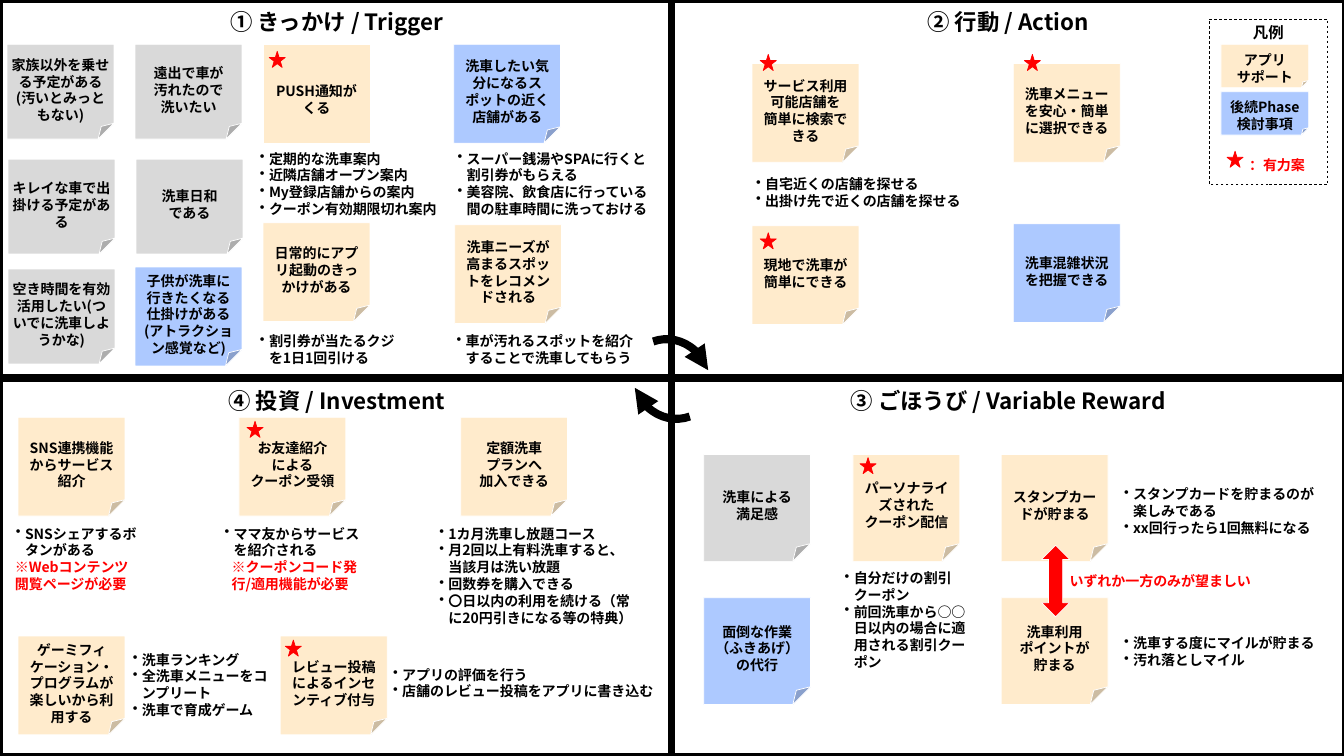
from dataclasses import dataclass
from typing import Optional

from lxml.etree import SubElement
from pptx import Presentation
from pptx.dml.color import RGBColor
from pptx.enum.dml import MSO_LINE
from pptx.enum.shapes import MSO_SHAPE as Preset
from pptx.enum.text import MSO_ANCHOR as Anchor, PP_ALIGN as Align
from pptx.oxml.ns import qn
from pptx.util import Cm, Length, Pt

FONT = "Noto Sans CJK JP"
COLORS = {"black": "000000", "white": "FFFFFF", "red": "FF0000",
          "current": "D9D9D9", "app": "FFEBCC", "later": "ADC9FF"}
NOTE_W, STAR = 1.06, 0.16


@dataclass
class Note:
    left: float
    top: float
    kind: str
    text: str
    height: float = 0.98
    width: float = NOTE_W
    preset: Preset = Preset.FOLDED_CORNER


@dataclass
class Label:
    left: float
    top: float
    width: float
    height: float
    text: str
    bullet: bool = True
    ink: str = "black"


# Positions below are in inches; panels are listed by row
PANELS = [["① きっかけ / Trigger", "② 行動 / Action"],
          ["④ 投資 / Investment", "③ ごほうび / Variable Reward"]]
NOTES = [
    # Trigger
    Note(0.07, 0.44, "current", "家族以外を乗せる予定がある(汚いとみっともない)", 0.94),
    Note(0.08, 1.58, "current", "キレイな車で出掛ける予定がある", 0.94),
    Note(0.08, 2.67, "current", "空き時間を有効活用したい(ついでに洗車しようかな)", 0.94),
    Note(1.34, 0.44, "current", "遠出で車が\n汚れたので\n洗いたい", 0.94),
    Note(1.35, 1.58, "current", "洗車日和\nである", 0.94),
    Note(1.34, 2.65, "later", "子供が洗車に行きたくなる仕掛けがある\n(アトラクション感覚など)"),
    Note(2.61, 0.44, "app", "PUSH通知がくる", preset=Preset.RECTANGLE),
    Note(2.61, 2.21, "app", "日常的にアプリ起動のきっかけがある"),
    Note(4.5, 0.44, "later", "洗車したい気分になるスポットの近く店舗がある"),
    Note(4.51, 2.23, "app", "洗車ニーズが高まるスポットをレコメンドされる"),
    # Action
    Note(7.46, 0.63, "app", "サービス利用可能店舗を\n簡単に検索できる"),
    Note(10.05, 0.63, "app", "洗車メニューを安心・簡単に選択できる"),
    Note(7.46, 2.24, "app", "現地で洗車が簡単にできる"),
    Note(10.05, 2.22, "later", "洗車混雑状況を把握できる"),
    # Variable reward
    Note(6.98, 4.51, "current", "洗車による\n満足感", 1.06),
    Note(8.46, 4.51, "app", "パーソナライズされた\nクーポン配信", 1.06),
    Note(9.93, 4.51, "app", "スタンプカードが貯まる", 1.06),
    Note(6.98, 5.93, "later", "面倒な作業（ふきあげ）の代行", 1.06),
    Note(9.93, 5.93, "app", "洗車利用\nポイントが\n貯まる", 1.06),
    # Investment
    Note(0.18, 4.14, "app", "SNS連携機能からサービス紹介"),
    Note(2.37, 4.14, "app", "お友達紹介\nによる\nクーポン受領"),
    Note(4.57, 4.14, "app", "定額洗車\nプランへ\n加入できる"),
    Note(0.18, 6.31, "app", "ゲーミフィケーション・プログラムが楽しいから利用する"),
    Note(2.78, 6.31, "app", "レビュー投稿によるインセンティブ付与"),
    # Legend
    Note(12.11, 0.44, "app", "アプリ\nサポート", 0.43, 0.87),
    Note(12.11, 0.91, "later", "後続Phase\n検討事項", 0.43, 0.87),
]
LABELS = [
    Label(2.48, 1.44, 2.13, 0.77, "定期的な洗車案内\n近隣店舗オープン案内\nMy登録店舗からの案内\nクーポン有効期限切れ案内"),
    Label(4.44, 1.44, 2.13, 0.77, "スーパー銭湯やSPAに行くと割引券がもらえる\n"
          "美容院、飲食店に行っている間の駐車時間に洗っておける"),
    Label(2.48, 3.25, 1.54, 0.44, "割引券が当たるクジを1日1回引ける"),
    Label(4.43, 3.25, 1.99, 0.44, "車が汚れるスポットを紹介することで洗車してもらう"),
    Label(7.4, 1.69, 2.49, 0.44, "自宅近くの店舗を探せる\n出掛け先で近くの店舗を探せる"),
    Label(11.05, 4.77, 2.18, 0.61, "スタンプカードを貯まるのが楽しみである\nxx回行ったら1回無料になる"),
    Label(8.28, 5.6, 1.4, 1.11, "自分だけの割引クーポン\n前回洗車から○○日以内の場合に適用される割引クーポン"),
    Label(11.05, 6.25, 2.18, 0.44, "洗車する度にマイルが貯まる\n汚れ落としマイル"),
    Label(10.51, 5.63, 2.18, 0.27, "いずれか一方のみが望ましい", False, "red"),
    Label(0.06, 5.16, 1.4, 0.44, "SNSシェアするボタンがある"),
    Label(2.13, 5.16, 1.56, 0.44, "ママ友からサービスを紹介される"),
    Label(0.05, 5.49, 1.4, 0.44, "※Webコンテンツ\n閲覧ページが必要", False, "red"),
    Label(2.2, 5.49, 1.77, 0.44, "※クーポンコード発行/適用機能が必要", False, "red"),
    Label(4.26, 5.16, 2.13, 1.11, "1カ月洗車し放題コース\n月2回以上有料洗車すると、当該月は洗い放題\n"
          "回数券を購入できる\n〇日以内の利用を続ける（常に20円引きになる等の特典）"),
    Label(3.8, 6.56, 2.88, 0.44, "アプリの評価を行う\n店舗のレビュー投稿をアプリに書き込む"),
    Label(1.22, 6.41, 1.54, 0.77, "洗車ランキング\n全洗車メニューをコンプリート\n洗車で育成ゲーム"),
    Label(12.29, 1.5, 0.79, 0.27, "：有力案", False, "red"),
]
STARS = [(2.67, 0.51), (7.54, 0.54), (10.16, 0.54), (7.54, 2.31),
         (8.53, 4.54), (2.45, 4.18), (2.83, 6.35), (12.17, 1.5)]
# Cycle arrows: left, top, rotation
ARCS = [(6.27, 3.25, 159.9), (6.22, 3.36, 339.9)]


def inch(value: float) -> Length:
    return Cm(value * 2.54)


def color(name: str) -> RGBColor:
    return RGBColor.from_string(COLORS[name])


def write(frame, text: str, size: float = 10, ink: str = "black", align: Align = Align.LEFT,
          bullet: bool = False, after: float = 0, side: float = 0.1, top: float = 0.05,
          bottom: float = 0.05) -> None:
    frame.word_wrap = True
    frame.margin_left = frame.margin_right = inch(side)
    frame.margin_top, frame.margin_bottom = inch(top), inch(bottom)
    frame.text = text
    for para in frame.paragraphs:
        para.alignment = align
        para.space_after = Pt(after)
        if bullet:
            props = para._p.get_or_add_pPr()
            props.set("marL", str(inch(0.09)))
            props.set("indent", str(-inch(0.09)))
            SubElement(props, qn("a:buChar")).set("char", "•")
        for span in para.runs:
            span.font.size, span.font.bold, span.font.name = Pt(size), True, FONT
            span.font.color.rgb = color(ink)
            SubElement(span._r.get_or_add_rPr(), qn("a:ea")).set("typeface", FONT)


def add_shape(page, preset: Preset, left: float, top: float, width: float, height: float,
              fill: Optional[str] = "white", line: str = "white", weight: float = 0.5):
    shape = page.shapes.add_shape(preset, inch(left), inch(top), inch(width), inch(height))
    shape.shadow.inherit = False
    if fill:
        shape.fill.solid()
        shape.fill.fore_color.rgb = color(fill)
    else:
        shape.fill.background()
    shape.line.color.rgb = color(line)
    shape.line.width = Pt(weight)
    return shape


def add_titled_box(page, left: float, top: float, width: float, height: float, title: str,
                   size: float, weight: float, inset_top: float = 0.08):
    box = add_shape(page, Preset.RECTANGLE, left, top, width, height, line="black", weight=weight)
    box.text_frame.vertical_anchor = Anchor.TOP
    write(box.text_frame, title, size, align=Align.CENTER, after=3, side=0.08, top=inset_top, bottom=0.08)
    return box


def add_note(page, note: Note) -> None:
    box = add_shape(page, note.preset, note.left, note.top, note.width, note.height, note.kind)
    side = 0.04 if note.kind == "current" or note.width < NOTE_W else 0.08
    box.text_frame.vertical_anchor = Anchor.MIDDLE
    write(box.text_frame, note.text, align=Align.CENTER, side=side, top=0.2, bottom=0.08)


def main() -> None:
    deck = Presentation()
    deck.slide_width, deck.slide_height = inch(13.33), inch(7.5)
    page = deck.slides.add_slide(deck.slide_layouts[6])
    # Four panels and the cycle arrows between them
    for column in range(2):
        for row in range(2):
            add_titled_box(page, column * 6.66, row * 3.76, 6.68, 3.74, PANELS[row][column], 16, 4.5)
    for left, top, rotation in ARCS:
        arc = add_shape(page, Preset.ARC, left, top, 0.83, 0.91, None, "black", 5.75)
        arc.rotation = rotation
        SubElement(arc.line._get_or_add_ln(), qn("a:tailEnd")).set("type", "triangle")
    # Legend frame, sticky notes and labels
    legend = add_titled_box(page, 11.99, 0.19, 1.18, 1.64, "凡例", 11, 0.5, 0.04)
    legend.line.dash_style = MSO_LINE.DASH
    for note in NOTES:
        add_note(page, note)
    add_shape(page, Preset.UP_DOWN_ARROW, 10.33, 5.41, 0.28, 0.71, "red")
    for label in LABELS:
        box = page.shapes.add_textbox(*map(inch, (label.left, label.top, label.width, label.height)))
        write(box.text_frame, label.text, ink=label.ink, bullet=label.bullet)
    # Stars on the strong ideas
    for left, top in STARS:
        add_shape(page, Preset.STAR_5_POINT, left, top, STAR, STAR, "red", "red")
    deck.save("out.pptx")


if __name__ == "__main__":
    main()
